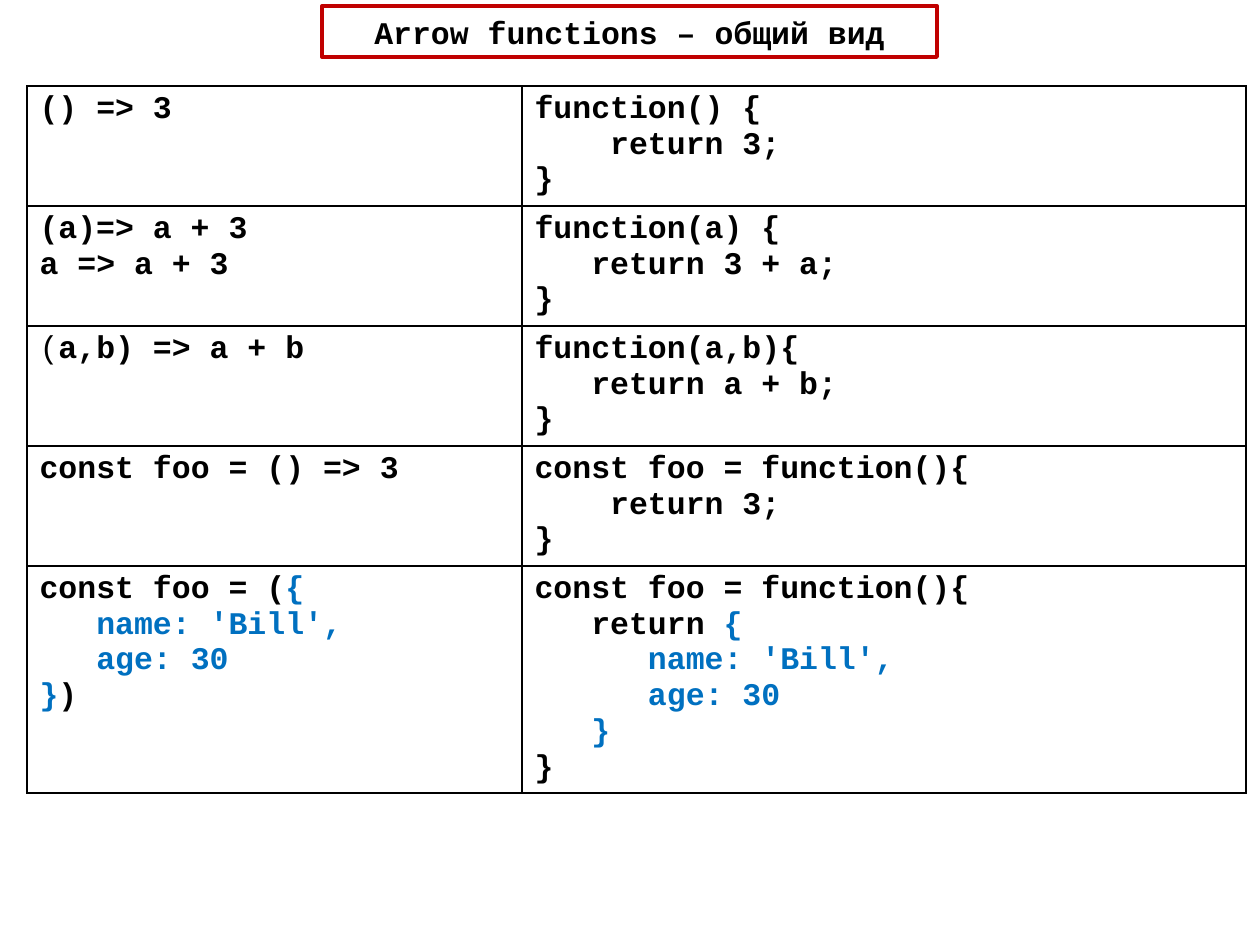
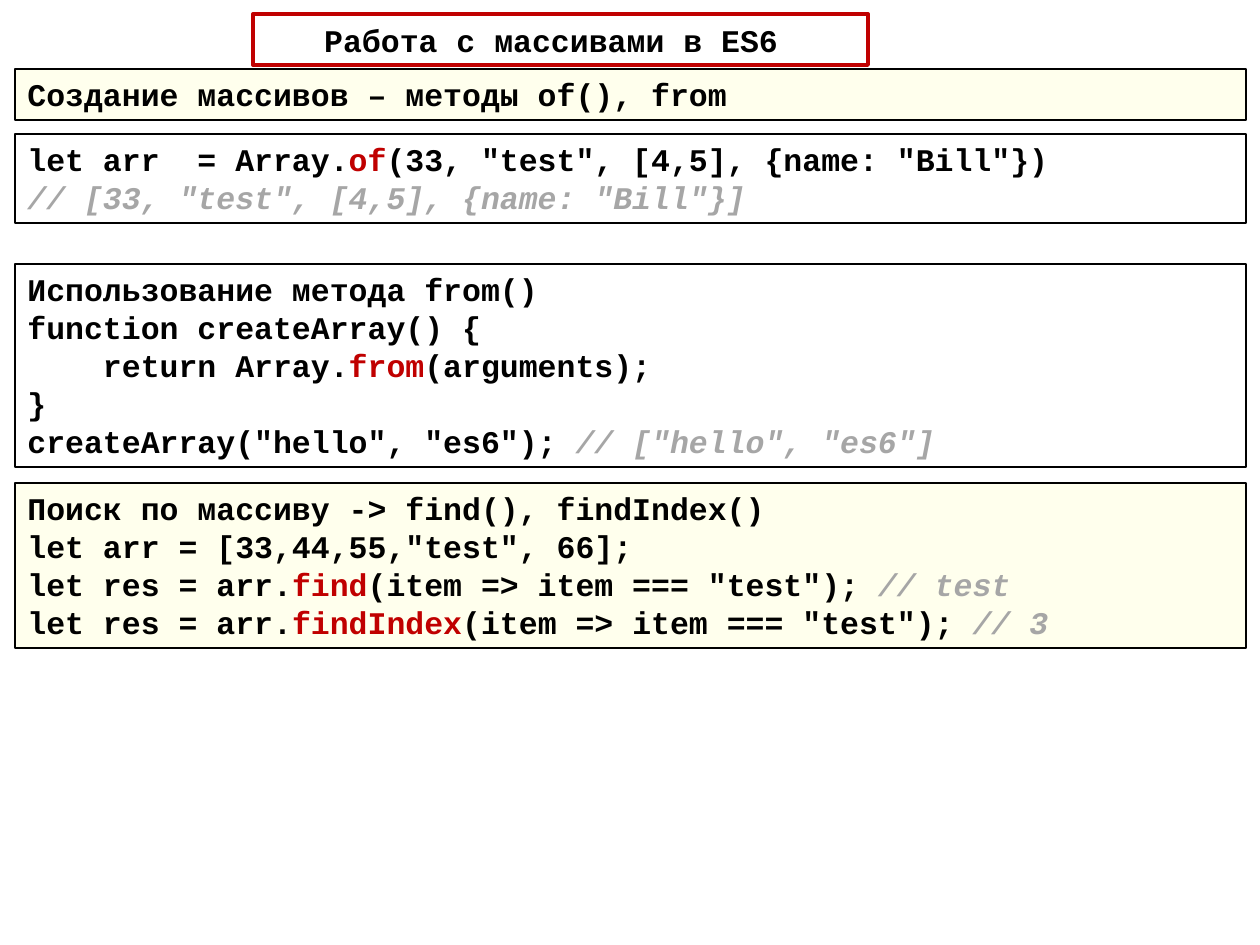
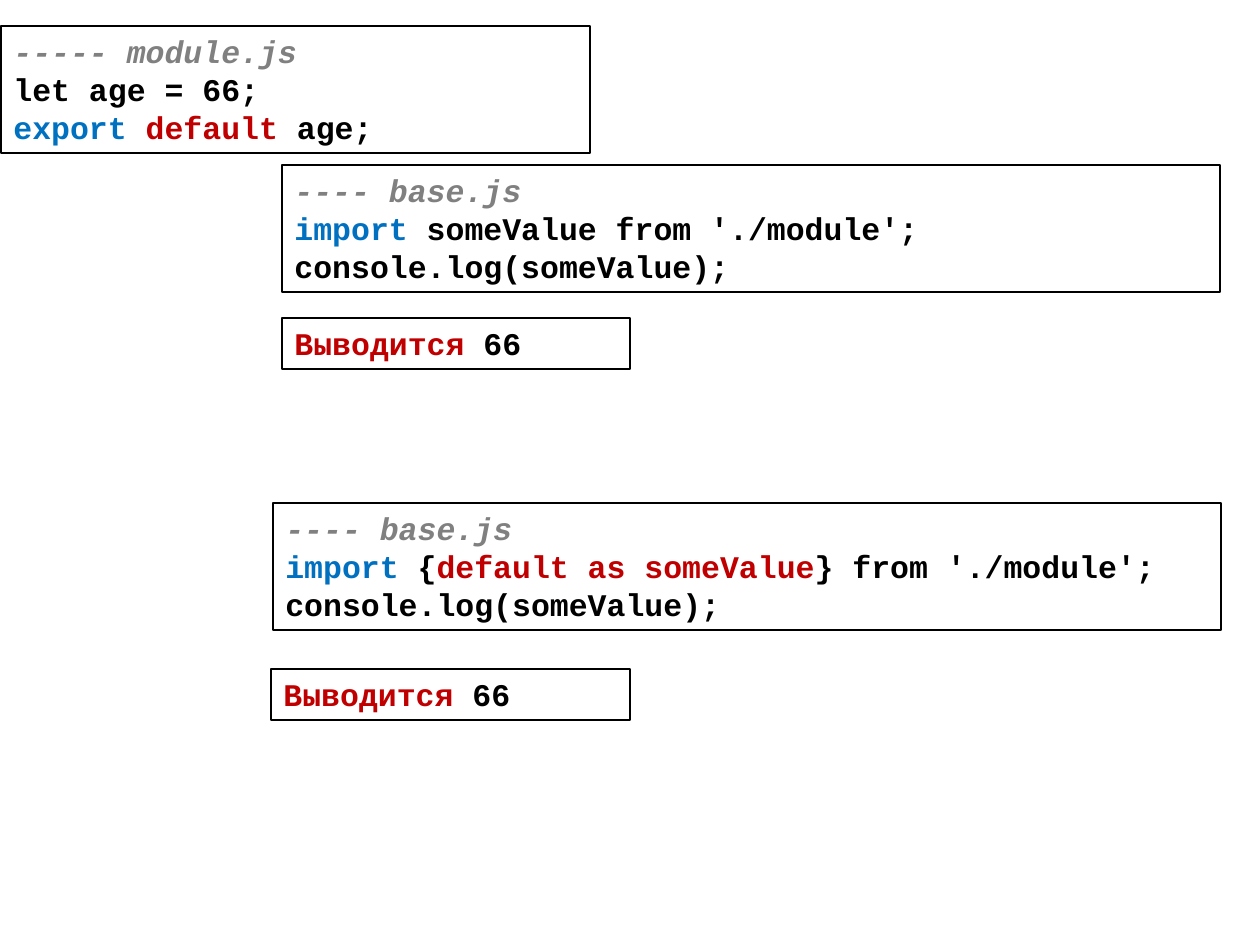
"""Builds three slides on arrow functions, ES6 arrays and default exports."""
from dataclasses import dataclass

from lxml import etree
from pptx import Presentation, util as u
from pptx.dml.color import RGBColor
from pptx.enum import shapes, text
from pptx.oxml.ns import qn


@dataclass(frozen=True)
class Theme:
    font: str = "Courier New"
    size: int = 18
    ink: str = "000000"
    paper: str = "FFFFFF"
    red: str = "C00000"
    blue: str = "0070C0"
    comment: str = "A6A6A6"
    file_name: str = "808080"
    highlight: str = "FFFF00"
    tint_alpha: int = 7000
    title_line: float = 2.25
    box_line: float = 1
    thin_line: float = 0.75


THEME = Theme()
SCALE = 914400 // 126
LINE_HEIGHT = 38
BOX_PADDING = 13
CHARACTER_WIDTH = 18.9
NUMBER_INDENT = 48
TITLE_SIZE = (615, 51)

STYLES = {
    "plain": (THEME.ink, True, False),
    "light": (THEME.ink, False, False),
    "red": (THEME.red, True, False),
    "blue": (THEME.blue, True, False),
    "comment": (THEME.comment, True, True),
    "file": (THEME.file_name, True, True),
    "numbered": (THEME.ink, True, False),
}

ARROW_TITLE = ("Arrow functions – общий вид", 322, 6)
ARROW_TABLE = (27, 86)
ARROW_COLUMNS = (495, 724)
ARROW_HEIGHTS = (120, 120, 120, 120, 227)
ARROW_ROWS = [
    (["() => 3 "],
     ["function() { ", "    return 3; ", "}"]),
    ([[("=> a + 3", "numbered")], "a => a + 3 "],
     ["function(a) {", "   return 3 + a; ", "}"]),
    ([[("(", "light"), ("a,b) => a + b ", "plain")]],
     ["function(a,b){ ", "   return a + b;", "}"]),
    (["const foo = () => 3"],
     ["const foo = function(){", "    return 3;", "}"]),
    ([[("const foo = (", "plain"), ("{", "blue")],
      [("   name: 'Bill',", "blue")],
      [("   age: 30", "blue")],
      [("}", "blue"), (") ", "plain")]],
     ["const foo = function(){",
      [("   return ", "plain"), ("{", "blue")],
      [("      name: 'Bill',", "blue")],
      [("      age: 30", "blue")],
      [("   }", "blue")],
      "}"]),
]

ARRAY_TITLE = ("Работа с массивами в ES6 ", 253, 14)
ARRAY_LEFT, ARRAY_WIDTH = 15, 1231
ARRAY_BOXES = [
    (69, THEME.highlight, ["Создание массивов – методы of(), from"]),
    (483, THEME.highlight, [
        "Поиск по массиву -> find(), findIndex()",
        'let arr = [33,44,55,"test", 66];',
        [("let res = arr.", "plain"), ("find", "red"),
         ('(item => item === "test"); ', "plain"), ("// test", "comment")],
        [("let res = arr.", "plain"), ("findIndex", "red"),
         ('(item => item === "test"); ', "plain"), ("// 3", "comment")]]),
    (134, THEME.paper, [
        [("let arr  = Array.", "plain"), ("of", "red"),
         ('(33, "test", [4,5], {name: "Bill"})', "plain")],
        [('// [33, "test", [4,5], {name: "Bill"}]', "comment")]]),
    (264, THEME.paper, [
        "Использование метода from()",
        "function createArray() {",
        [("    return Array.", "plain"), ("from", "red"), ("(arguments);", "plain")],
        "}",
        [('createArray("hello", "es6"); ', "plain"), ('// ["hello", "es6"]', "comment")]]),
]

BASE_FILE = [("---- base.js", "file")]
LOG_LINE = "console.log(someValue);"
OUTPUT_LINE = [("Выводится ", "red"), ("66", "plain")]
MODULE_BOXES = [
    (282, 318, 348, [OUTPUT_LINE]),
    (271, 669, 359, [OUTPUT_LINE]),
    (1, 26, 589, [
        [("----- module.js", "file")],
        "let age = 66;",
        [("export ", "blue"), ("default", "red"), (" age;", "plain")]]),
    (282, 165, 938, [
        BASE_FILE,
        [("import ", "blue"), ("someValue from './module';", "plain")],
        LOG_LINE]),
    (273, 503, 948, [
        BASE_FILE,
        [("import", "blue"), (" {", "plain"), ("default as someValue", "red"),
         ("} from './module';", "plain")],
        LOG_LINE]),
]


def px(value):
    return u.Emu(round(value * SCALE))


def color(value):
    return RGBColor.from_string(value)


def indent(paragraph, characters, numbered):
    properties = paragraph._p.get_or_add_pPr()
    if numbered:
        properties.set("marL", str(px(NUMBER_INDENT)))
        properties.set("indent", str(-px(NUMBER_INDENT)))
        number = etree.SubElement(properties, qn("a:buAutoNum"))
        number.set("type", "alphaLcParenBoth")
    elif characters:
        properties.set("marL", str(px(characters * CHARACTER_WIDTH)))
        properties.set("indent", "0")


def write(text_frame, lines, spacing=None, alignment=text.PP_ALIGN.LEFT):
    for index, line in enumerate(lines):
        paragraph = text_frame.add_paragraph() if index else text_frame.paragraphs[0]
        paragraph.alignment = alignment
        if spacing:
            paragraph.line_spacing = px(spacing)
        pieces = [(line, "plain")] if isinstance(line, str) else line
        first, first_style = pieces[0]
        indent(paragraph, len(first) - len(first.lstrip()), first_style == "numbered")
        for position, (words, style) in enumerate(pieces):
            run = paragraph.add_run()
            run.text = words if position else words.lstrip()
            ink, run.font.bold, run.font.italic = STYLES[style]
            run.font.color.rgb = color(ink)
            run.font.name, run.font.size = THEME.font, u.Pt(THEME.size)


def add_box(slide, left, top, width, height, line, weight):
    shape = slide.shapes.add_shape(
        shapes.MSO_SHAPE.RECTANGLE, px(left), px(top), px(width), px(height))
    shape.shadow.inherit = False
    shape.fill.background()
    shape.line.color.rgb = color(line)
    shape.line.width = u.Pt(weight)
    shape.text_frame.word_wrap = True
    return shape


def add_title(slide, words, left, top):
    shape = add_box(slide, left, top, *TITLE_SIZE, THEME.red, THEME.title_line)
    shape.fill.solid()
    shape.fill.fore_color.rgb = color(THEME.paper)
    shape.text_frame.vertical_anchor = text.MSO_ANCHOR.MIDDLE
    write(shape.text_frame, [words], LINE_HEIGHT, text.PP_ALIGN.CENTER)


def add_code(slide, left, top, width, lines, weight, tint=None):
    height = BOX_PADDING + LINE_HEIGHT * len(lines)
    shape = add_box(slide, left, top, width, height, THEME.ink, weight)
    if tint:
        shape.fill.solid()
        shape.fill.fore_color.rgb = color(tint)
        fill_color = shape._element.spPr.find(qn("a:solidFill"))[0]
        etree.SubElement(fill_color, qn("a:alpha")).set("val", str(THEME.tint_alpha))
    shape.text_frame.vertical_anchor = text.MSO_ANCHOR.TOP
    shape.text_frame.auto_size = text.MSO_AUTO_SIZE.SHAPE_TO_FIT_TEXT
    write(shape.text_frame, lines, LINE_HEIGHT)


def add_borders(cell):
    properties = cell._tc.get_or_add_tcPr()
    for index, side in enumerate(("lnL", "lnR", "lnT", "lnB")):
        border = etree.Element(qn(f"a:{side}"), w=str(u.Pt(THEME.box_line)))
        fill = etree.SubElement(border, qn("a:solidFill"))
        etree.SubElement(fill, qn("a:srgbClr")).set("val", THEME.ink)
        properties.insert(index, border)


def add_code_table(slide):
    table = slide.shapes.add_table(
        len(ARROW_ROWS), len(ARROW_COLUMNS), *map(px, ARROW_TABLE),
        px(sum(ARROW_COLUMNS)), px(sum(ARROW_HEIGHTS))).table
    table.first_row = table.horz_banding = False
    for column, width in zip(table.columns, ARROW_COLUMNS):
        column.width = px(width)
    for row, height, contents in zip(table.rows, ARROW_HEIGHTS, ARROW_ROWS):
        row.height = px(height)
        for cell, lines in zip(row.cells, contents):
            cell.fill.background()
            add_borders(cell)
            write(cell.text_frame, lines)


def main():
    presentation = Presentation()
    presentation.slide_width, presentation.slide_height = px(1260), px(945)
    arrows, arrays, modules = (
        presentation.slides.add_slide(presentation.slide_layouts[6]) for _ in range(3))

    add_title(arrows, *ARROW_TITLE)
    add_code_table(arrows)

    add_title(arrays, *ARRAY_TITLE)
    for top, tint, lines in ARRAY_BOXES:
        add_code(arrays, ARRAY_LEFT, top, ARRAY_WIDTH, lines, THEME.box_line, tint)

    for left, top, width, lines in MODULE_BOXES:
        add_code(modules, left, top, width, lines, THEME.thin_line)

    presentation.save("out.pptx")


main()
